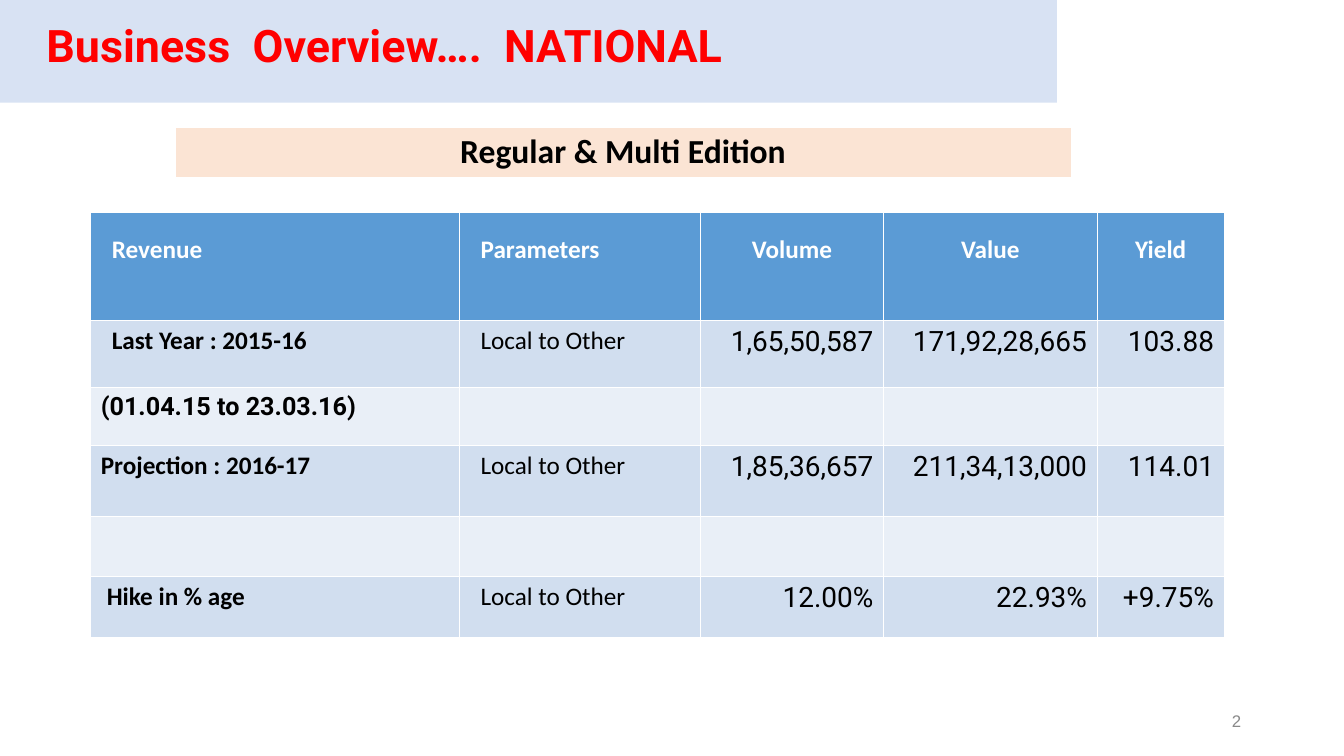
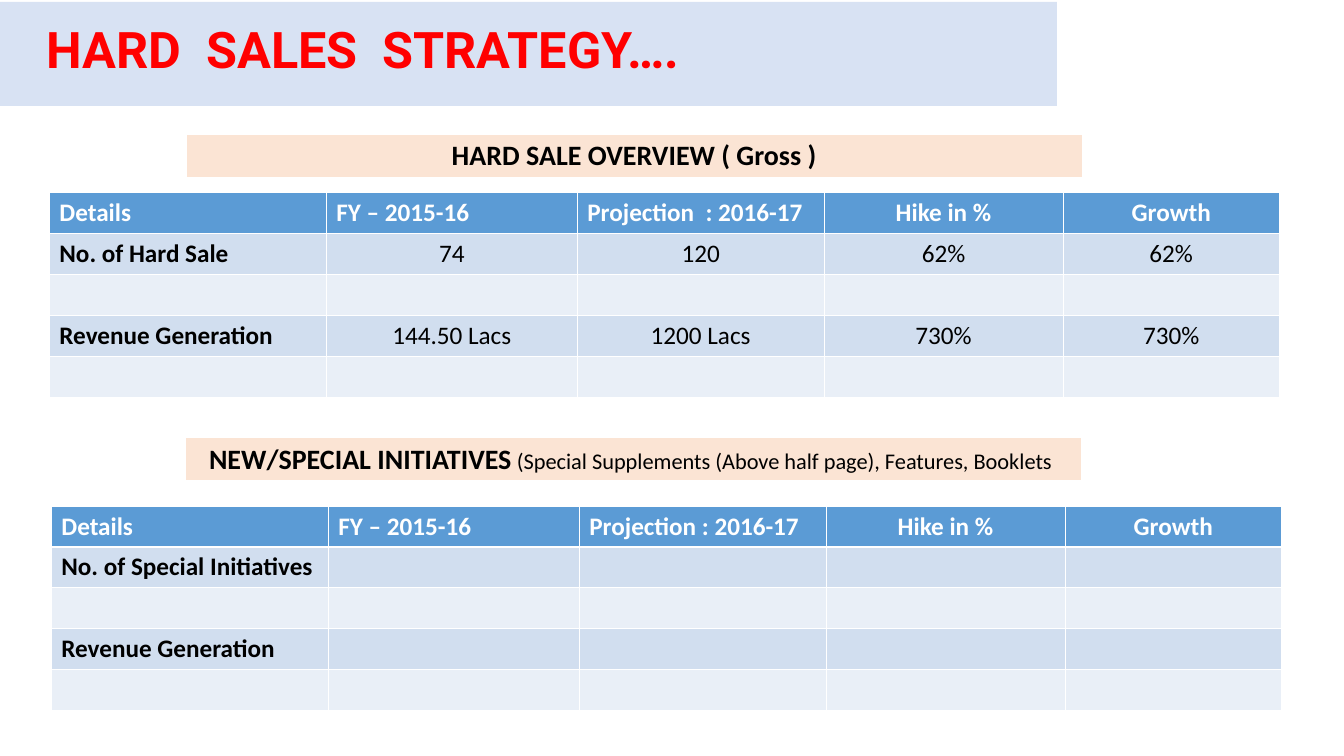
"""Build the national business overview and hard sales strategy slides."""
from pptx import Presentation
from pptx.dml.color import RGBColor
from pptx.enum.shapes import MSO_SHAPE
from pptx.enum.text import MSO_ANCHOR, MSO_AUTO_SIZE, PP_ALIGN
from pptx.oxml.ns import qn
from pptx.util import Inches, Pt
from lxml.etree import SubElement

COLOURS = {"band": "D8E2F3", "title": "FF0000", "caption": "FBE4D4", "header": "5B9BD5",
           "odd": "D1DEEF", "even": "E9EFF7", "white": "FFFFFF", "black": "000000",
           "number": "898989"}
LEFT, CENTER, RIGHT = PP_ALIGN.LEFT, PP_ALIGN.CENTER, PP_ALIGN.RIGHT
STYLES = {
    "title": ("Roboto", 32, True, "title", LEFT),
    "big title": ("Roboto", 36, True, "title", LEFT),
    "caption": ("Calibri", 20, True, "black", CENTER),
    "big caption": ("Calibri", 24, True, "black", CENTER),
    "head": ("Calibri", 18, True, "white", LEFT),
    "centred head": ("Calibri", 18, True, "white", CENTER),
    "label": ("Calibri", 18, True, "black", LEFT),
    "period": ("Roboto", 18, True, "black", LEFT),
    "plain": ("Calibri", 18, False, "black", LEFT),
    "centred": ("Calibri", 18, False, "black", CENTER),
    "figure": ("Roboto", 20, False, "black", RIGHT),
    "number": ("Arial", 12, False, "number", RIGHT),
}
HAIRLINE, HEADER_RULE = Pt(0.45), Pt(1.47)

deck = Presentation()
deck.slide_width, deck.slide_height = Inches(13.34), Inches(7.5)
across, down = deck.slide_width / 100, deck.slide_height / 100


def write(para, text, style):
    """Set a paragraph's text in a named style."""
    family, size, bold, colour, para.alignment = STYLES[style]
    para.text = text
    para.font.name, para.font.size, para.font.bold = family, Pt(size), bold
    para.font.color.rgb = RGBColor.from_string(COLOURS[colour])


def lay_table(page, left, top, widths, heights, fills, rows):
    """Lay a table in percent of the slide; cells are (text, style, indent in inches)."""
    table = page.shapes.add_table(
        len(heights), len(widths), int(left * across), int(top * down),
        int(sum(widths) * across), int(sum(heights) * down)).table
    table.first_row = fills[0] == "header"
    table.horz_banding = False
    for column, width in zip(table.columns, widths):
        column.width = int(width * across)
    for r, height in enumerate(heights):
        table.rows[r].height = int(height * down)
        for c in range(len(widths)):
            cell = table.cell(r, c)
            properties = cell._tc.get_or_add_tcPr()
            for side in ("lnL", "lnR", "lnT", "lnB"):
                heavy = (side, r) in (("lnB", 0), ("lnT", 1))
                line = SubElement(properties, qn(f"a:{side}"),
                                  w=str(HEADER_RULE if heavy else HAIRLINE))
                SubElement(SubElement(line, qn("a:solidFill")), qn("a:srgbClr"),
                           val=COLOURS["white"])
            cell.fill.solid()
            cell.fill.fore_color.rgb = RGBColor.from_string(COLOURS[fills[r]])
            if c < len(rows[r]):
                text, style, indent = rows[r][c]
                cell.margin_left = Inches(0.1 + indent)
                write(cell.text_frame.paragraphs[0], text, style)
    return table


pages = []
for heading, style, band_top, title_height in (
        ("Business  Overview….  NATIONAL", "title", -0.13, 8.53),
        ("HARD  SALES  STRATEGY….", "big title", 0.27, 9.33)):
    page = deck.slides.add_slide(deck.slide_layouts[5])
    pages.append(page)
    band = page.shapes.add_shape(MSO_SHAPE.RECTANGLE, 0, int(band_top * down),
                                 int(78.64 * across), int(13.73 * down))
    band.shadow.inherit = False
    band.fill.solid()
    band.fill.fore_color.rgb = RGBColor.from_string(COLOURS["band"])
    band.line.fill.background()
    title = page.shapes.title
    band._element.addnext(title._element)
    title.left, title.top = int(2.7 * across), int(1.73 * down)
    title.width, title.height = int(75.41 * across), int(title_height * down)
    title.text_frame.word_wrap = True
    title.text_frame.auto_size = MSO_AUTO_SIZE.SHAPE_TO_FIT_TEXT
    title.text_frame.vertical_anchor = MSO_ANCHOR.TOP
    write(title.text_frame.paragraphs[0], heading, style)
overview, strategy = pages

revenue_rows = [[("Revenue", "head", 0.11), ("Parameters", "head", 0.11)]
                + [(name, "centred head", 0) for name in ("Volume", "Value", "Yield")]]
for label, style, indent, figures in (
        ("Last Year : 2015-16", "label", 0.11, ("1,65,50,587", "171,92,28,665", "103.88")),
        ("(01.04.15 to 23.03.16)", "period", 0, ()),
        ("Projection : 2016-17", "label", 0, ("1,85,36,657", "211,34,13,000", "114.01")),
        ("", "label", 0, ()),
        ("Hike in % age", "label", 0.06, ("12.00%", "22.93%", "+9.75%"))):
    row = [(label, style, indent)]
    if figures:
        row.append(("Local to Other", "plain", 0.11))
    revenue_rows.append(row + [(figure, "figure", 0) for figure in figures])
bands = ["header", "odd", "even", "odd", "even", "odd"]
revenue = lay_table(overview, 6.75, 28.13, [27.44, 17.92, 13.64, 15.89, 9.45],
                    [14.27, 8.8, 7.73, 9.33, 8, 8], bands, revenue_rows)
for cell in revenue.rows[0].cells:
    cell.margin_top = Inches(0.22)
lay_table(overview, 13.04, 16.8, [66.64], [6.67], ["caption"],
          [[("Regular & Multi Edition", "big caption", 0)]])

number = overview.shapes.add_textbox(int(70.61 * across), int(92.67 * down),
                                     int(22.49 * across), int(5.33 * down))
number.text_frame.word_wrap = True
number.text_frame.vertical_anchor = MSO_ANCHOR.MIDDLE
write(number.text_frame.paragraphs[0], "2", "number")

for caption, left, top, table_left, table_top, projection, count, counts, sums, note in (
        ("HARD SALE OVERVIEW ( Gross )", 13.87, 17.73, 3.67, 25.47, "Projection  : 2016-17",
         "No. of Hard Sale", ("74", "120", "62%", "62%"),
         ("144.50 Lacs", "1200 Lacs", "730%", "730%"), ""),
        ("NEW/SPECIAL INITIATIVES", 13.79, 57.87, 3.82, 66.93, "Projection : 2016-17",
         "No. of Special Initiatives", (), (),
         " (Special Supplements (Above half page), Features, Booklets ")):
    heads = [(name, "head", 0) for name in ("Details", "FY – 2015-16", projection)]
    heads += [(name, "centred head", 0) for name in ("Hike in %", "Growth")]
    rows = [heads]
    for label, values in ((count, counts), ("Revenue Generation", sums)):
        rows.append([(label, "label", 0)] + [(value, "centred", 0) for value in values])
        rows.append([])
    lay_table(strategy, table_left, table_top, [20.61, 18.67, 18.37, 17.77, 16.12],
              [5.41] * 5, bands[:5], rows)
    banner = lay_table(strategy, left, top, [66.64], [5.8], ["caption"],
                       [[(caption, "caption", 0)]])
    if note:
        span = banner.cell(0, 0).text_frame.paragraphs[0].add_run()
        span.text = note
        span.font.size, span.font.bold = Pt(16), False

deck.save("out.pptx")
